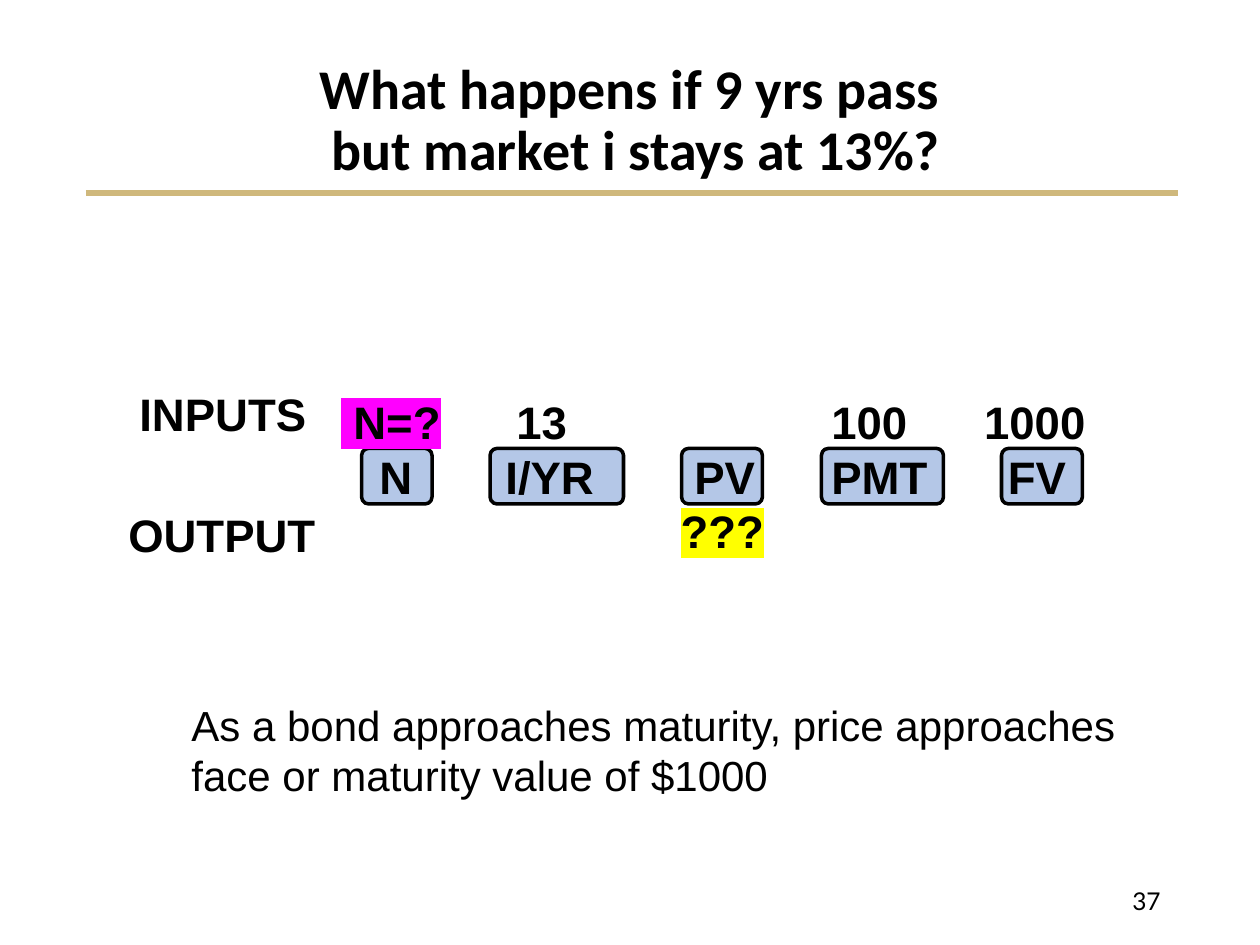
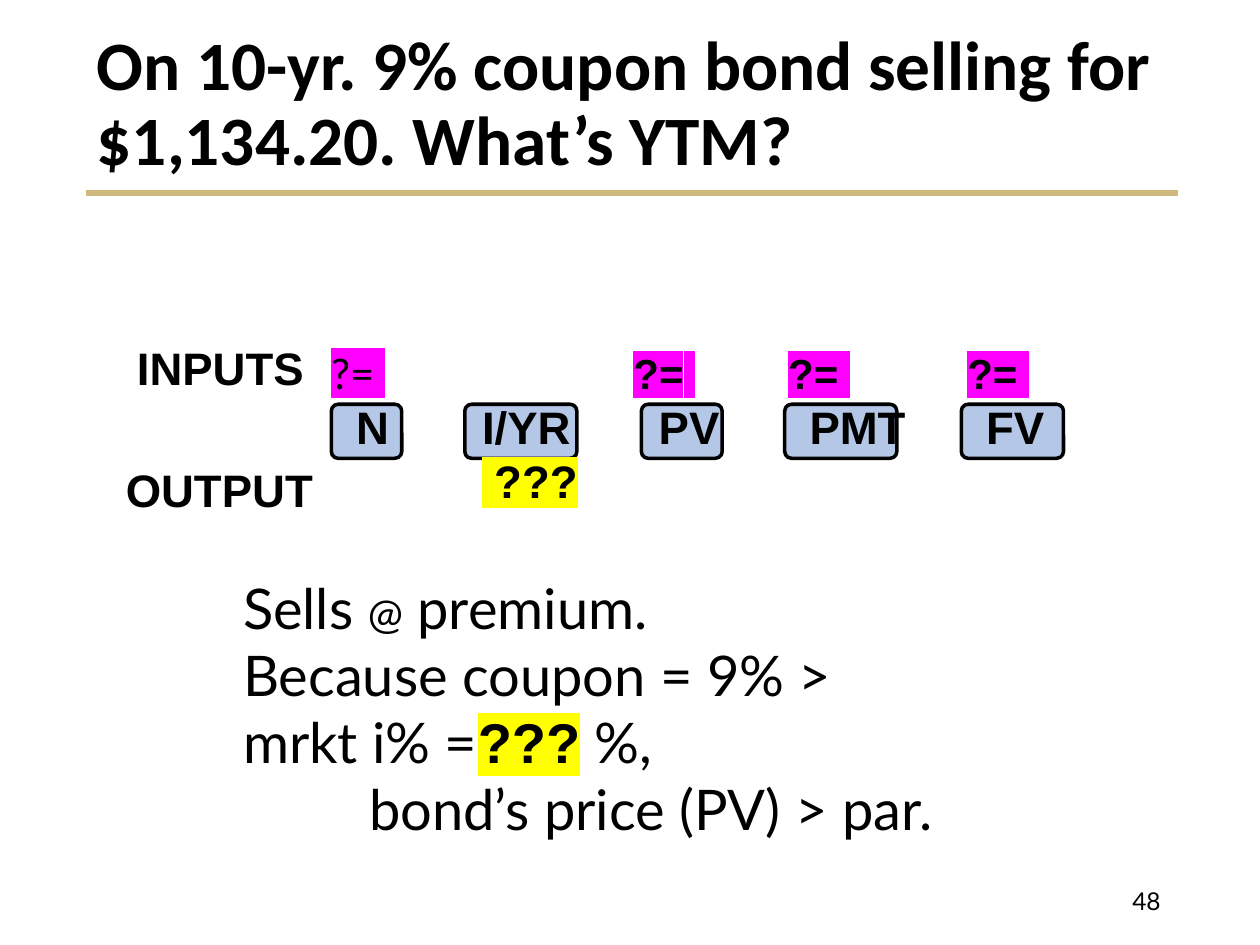
import pptx
import pptx.dml.color
import pptx.enum.shapes
import pptx.enum.text
import pptx.oxml.ns
import pptx.util
from lxml import etree

Cm = pptx.util.Cm
Pt = pptx.util.Pt
RGBColor = pptx.dml.color.RGBColor
PP_ALIGN = pptx.enum.text.PP_ALIGN
MIDDLE = pptx.enum.text.MSO_ANCHOR.MIDDLE
qn = pptx.oxml.ns.qn

BLACK = RGBColor(0x00, 0x00, 0x00)
GOLD = RGBColor(0xCF, 0xB8, 0x7C)
KEY_BLUE = RGBColor(0xB4, 0xC7, 0xE7)
MAGENTA = RGBColor(0xFF, 0x00, 0xFF)
YELLOW = RGBColor(0xFF, 0xFF, 0x00)


def write_line(paragraph, parts, size, font, bold=False, align=PP_ALIGN.LEFT, stops=()):
    paragraph.alignment = align
    if stops:
        tab_list = etree.SubElement(paragraph._p.get_or_add_pPr(), qn("a:tabLst"))
        for stop in stops:
            etree.SubElement(tab_list, qn("a:tab"), pos=str(Cm(stop)), algn="l")
    paragraph.font.size = Pt(size)
    paragraph.font.name = font
    paragraph.font.bold = bold
    paragraph.font.color.rgb = BLACK
    for text, look in parts:
        run = paragraph.add_run()
        run.text = text
        if "mark" in look:
            highlight = etree.SubElement(run._r.get_or_add_rPr(), qn("a:highlight"))
            etree.SubElement(highlight, qn("a:srgbClr"), val=str(look["mark"]))
        if "spread" in look:
            run._r.get_or_add_rPr().set("spc", str(look["spread"] * 100))
        if "size" in look:
            run.font.size = Pt(look["size"])
        if "font" in look:
            run.font.name = look["font"]
        if "bold" in look:
            run.font.bold = look["bold"]


def add_text(slide, box, lines, size, font, bold=False, align=PP_ALIGN.LEFT, anchor=None):
    frame = slide.shapes.add_textbox(*map(Cm, box)).text_frame
    frame.word_wrap = True
    if anchor is not None:
        frame.vertical_anchor = anchor
    for index, (parts, stops) in enumerate(lines):
        paragraph = frame.add_paragraph() if index else frame.paragraphs[0]
        write_line(paragraph, parts, size, font, bold, align, stops)


asked = {"mark": MAGENTA}
asked_small = {"mark": MAGENTA, "size": 24}
asked_light = {"mark": MAGENTA, "size": 24, "font": "Lato", "bold": False}
solved = {"mark": YELLOW}
key_names = [("\tN\tI/YR\tPV\tPMT\tFV", {})]

maturity = {
    "title": "What happens if 9 yrs pass\v but market i stays at 13%?",
    "title_box": (1.75, 1.02, 21.89, 2.87),
    "title_size": 32,
    "title_align": PP_ALIGN.CENTER,
    "number": "37",
    "keys": [(7.29, 1.42), (9.88, 2.69), (13.74, 1.63), (16.56, 2.46), (20.19, 1.63)],
    "key_top": 9.04,
    "key_height": 1.12,
    "register_box": (2.29, 7.82, 20.98, 3.56),
    "register_lines": [
        ([("\t", {}), (" N=?", asked), ("\t13\t100\t1000", {})], (4.33, 7.87, 14.22, 17.3)),
        (key_names, (5.11, 7.65, 11.46, 14.22, 17.78)),
        ([("\t", {}), ("???", solved)], (11.18,)),
    ],
    "label_at": (2.29, 7.54),
    "remark_box": (3.61, 13.97, 19.89, 2.31),
    "remark_size": 24,
    "remark_font": "Arial",
    "remark": [
        ([("As a bond approaches maturity, price approaches face or maturity value of $1000", {})], ()),
    ],
}

premium = {
    "title": "On 10-yr. 9% coupon bond selling for $1,134.20. What’s YTM?",
    "title_box": (1.7, 0.38, 21.97, 3.51),
    "title_size": 39.6,
    "title_align": PP_ALIGN.LEFT,
    "number": "48",
    "keys": [(6.68, 1.42), (9.37, 2.26), (12.93, 1.63), (15.82, 2.26), (19.38, 2.06)],
    "key_top": 8.15,
    "key_height": 1.09,
    "register_box": (1.85, 6.81, 21.84, 3.58),
    "register_lines": [
        (
            [
                ("\t", {}),
                ("?=", asked_light),
                (" ", asked_light | {"spread": 8}),
                ("\t", {}),
                ("?=", asked_small),
                (" ", asked_small | {"spread": 21}),
                ("\t", {}),
                ("?=", asked_small),
                (" ", asked_small | {"spread": 34}),
                ("\t", {}),
                ("?= ", asked_small),
            ],
            (4.58, 10.67, 13.79, 17.4),
        ),
        (key_names, (5.08, 7.62, 11.18, 14.22, 17.78)),
        ([("\t", {}), (" ???", solved)], (7.61,)),
    ],
    "label_at": (2.24, 6.63),
    "remark_box": (4.65, 11.43, 16.31, 5.72),
    "remark_size": 32,
    "remark_font": "Lato",
    "remark": [
        ([("Sells ", {}), ("@", {"size": 24}), (" premium.", {})], ()),
        ([("Because coupon = 9% >", {})], ()),
        ([("mrkt i% =", {}), ("???", {"mark": YELLOW, "font": "Arial", "bold": True}), (" %,", {})], ()),
        ([("\tbond’s price (PV) > par.", {})], (2.54,)),
    ],
}

deck = pptx.Presentation()
deck.slide_width = Cm(25.4)
deck.slide_height = Cm(19.05)

for topic in (maturity, premium):
    slide = deck.slides.add_slide(deck.slide_layouts[5])

    heading = slide.shapes.title
    heading.left, heading.top, heading.width, heading.height = map(Cm, topic["title_box"])
    heading.text_frame.text = topic["title"]
    heading.text_frame.vertical_anchor = MIDDLE
    heading.text_frame.auto_size = pptx.enum.text.MSO_AUTO_SIZE.NONE
    question = heading.text_frame.paragraphs[0]
    question.line_spacing = 0.9
    write_line(question, (), topic["title_size"], "Calibri", True, topic["title_align"])

    rule = slide.shapes.add_connector(
        pptx.enum.shapes.MSO_CONNECTOR.STRAIGHT, Cm(1.73), Cm(3.89), Cm(23.75), Cm(3.89)
    )
    rule.line.color.rgb = GOLD
    rule.line.width = Pt(3)
    etree.SubElement(rule._element.spPr, qn("a:effectLst"))

    add_text(slide, (17.93, 17.65, 5.72, 1.02), [([(topic["number"], {})], ())],
             14, "Lato", align=PP_ALIGN.RIGHT, anchor=MIDDLE)

    for left, width in topic["keys"]:
        key = slide.shapes.add_shape(
            pptx.enum.shapes.MSO_SHAPE.ROUNDED_RECTANGLE,
            Cm(left), Cm(topic["key_top"]), Cm(width), Cm(topic["key_height"]),
        )
        key.adjustments[0] = 0.125
        key.shadow.inherit = False
        key.fill.solid()
        key.fill.fore_color.rgb = KEY_BLUE
        key.line.color.rgb = BLACK
        key.line.width = Pt(2)

    add_text(slide, topic["register_box"], topic["register_lines"], 26, "Arial", True)

    label_left, label_top = topic["label_at"]
    for row, label in enumerate(("INPUTS", "OUTPUT")):
        add_text(slide, (label_left - 0.02 * row, label_top + 2.44 * row, 4.41, 1.57),
                 [([(label, {})], ())], 26, "Arial", True, PP_ALIGN.CENTER, MIDDLE)

    add_text(slide, topic["remark_box"], topic["remark"], topic["remark_size"], topic["remark_font"])

deck.save("out.pptx")
